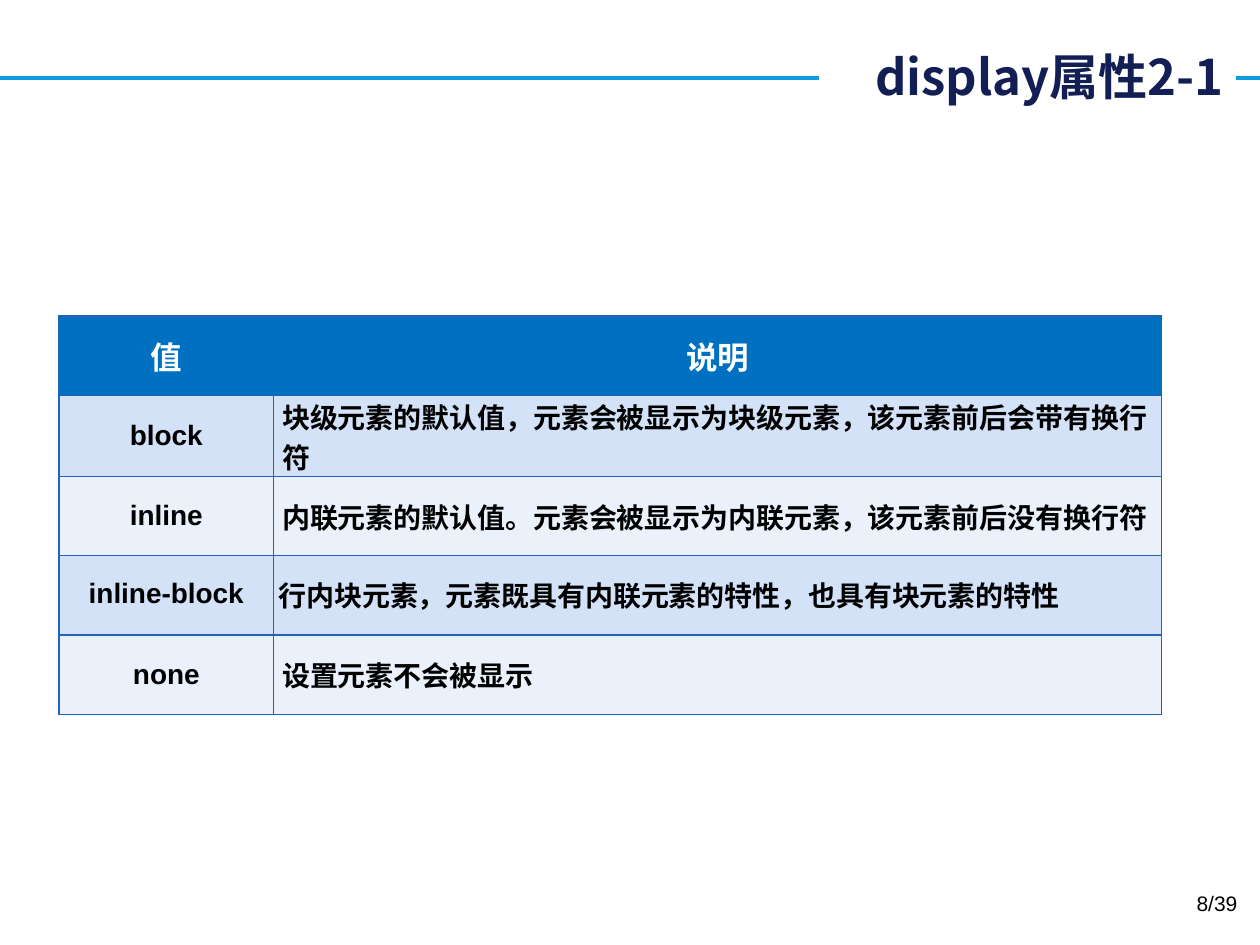
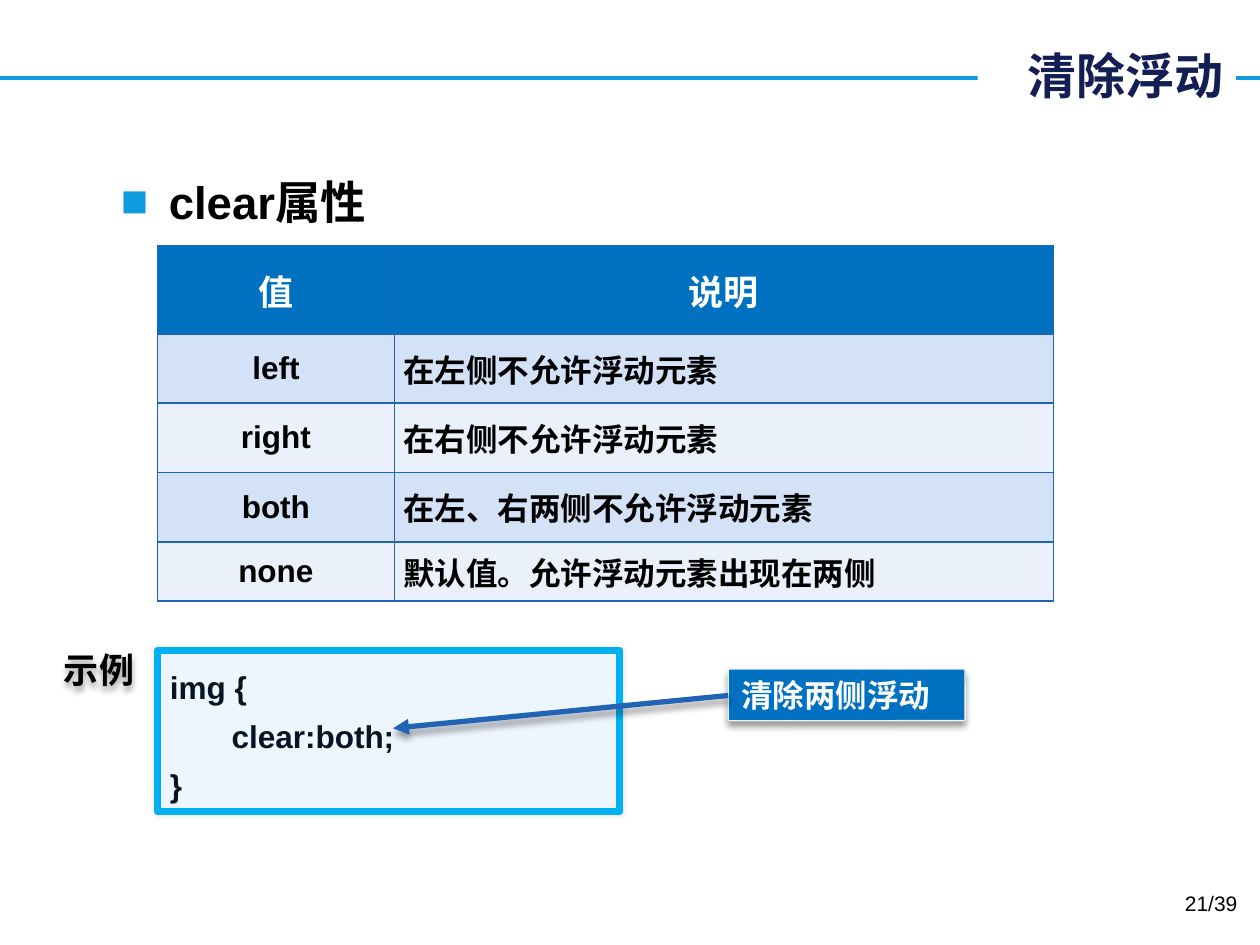
from dataclasses import dataclass
from typing import Any

import lxml.etree
import pptx
import pptx.dml.color
import pptx.enum.shapes
import pptx.enum.text
import pptx.oxml.ns
import pptx.util

Inches = pptx.util.Inches
Pt = pptx.util.Pt
RGBColor = pptx.dml.color.RGBColor
Align = pptx.enum.text.PP_ALIGN
Anchor = pptx.enum.text.MSO_ANCHOR
Shape = pptx.enum.shapes.MSO_SHAPE
Wire = pptx.enum.shapes.MSO_CONNECTOR

BLACK = RGBColor(0x00, 0x00, 0x00)
WHITE = RGBColor(0xFF, 0xFF, 0xFF)
PALE = RGBColor(0xF2, 0xF2, 0xF2)
NAVY = RGBColor(0x12, 0x1E, 0x54)
INK = RGBColor(0x07, 0x14, 0x24)
SKY = RGBColor(0x0E, 0x9C, 0xDE)
HEAD = RGBColor(0x00, 0x70, 0xC0)
EDGE = RGBColor(0x21, 0x63, 0xB4)
FRAME = RGBColor(0x00, 0xB0, 0xF0)
MIST = RGBColor(0xED, 0xF5, 0xFD)
BANDS = (RGBColor(0xD3, 0xE2, 0xF7), RGBColor(0xEA, 0xF1, 0xFB))

LATIN = "Arial"
HAN = "Noto Sans CJK SC"
PAGES = 39


@dataclass(frozen=True)
class Box:
    left: float
    top: float
    width: float
    height: float

    def place(self) -> tuple[int, ...]:
        return tuple(Inches(n) for n in (self.left, self.top, self.width, self.height))


@dataclass(frozen=True)
class Grid:
    box: Box
    cols: tuple[float, ...]
    rows: tuple[float, ...]
    size: int
    pairs: tuple[tuple[str, str], ...]
    tight: int = 0  # row with narrow margins; 0 means none


@dataclass(frozen=True)
class Panel:
    box: Box
    text: str
    fill: RGBColor
    line: RGBColor
    weight: float
    ink: RGBColor
    round: float
    anchor: Any
    shade: tuple[int, int, int, int]  # alpha %, blur, distance, angle
    space: float = 1.0


DISPLAY = Grid(
    Box(0.47, 2.51, 8.75, 3.05), (1.7, 7.05), (0.63, 0.55, 0.63, 0.63, 0.63), 16,
    (("值", "说明"),
     ("block", "块级元素的默认值，元素会被显示为块级元素，该元素前后会带有换行符"),
     ("inline", "内联元素的默认值。元素会被显示为内联元素，该元素前后没有换行符"),
     ("inline-block", "行内块元素，元素既具有内联元素的特性，也具有块元素的特性"),
     ("none", "设置元素不会被显示")),
    tight=3,
)
CLEAR = Grid(
    Box(1.25, 1.95, 7.11, 2.81), (1.88, 5.23), (0.7, 0.55, 0.55, 0.55, 0.47), 18,
    (("值", "说明"),
     ("left", "在左侧不允许浮动元素"),
     ("right", "在右侧不允许浮动元素"),
     ("both", "在左、右两侧不允许浮动元素"),
     ("none", "默认值。允许浮动元素出现在两侧")),
)
DROP = (40, 4, 3, 90)
CODE = Panel(Box(1.25, 5.16, 3.67, 1.28), "img {\n\tclear:both;\n}", MIST, FRAME, 4,
             INK, 0, Anchor.TOP, (10, 3, 0, 0), 1.3)
NOTE = Panel(Box(5.78, 5.31, 1.88, 0.41), "清除两侧浮动", HEAD, PALE, 0.75,
             WHITE, 0.03, Anchor.BOTTOM, DROP)


def node(host: Any, tag: str, **attrs: Any) -> Any:
    """Append a DrawingML child."""
    return lxml.etree.SubElement(host, pptx.oxml.ns.qn(tag),
                                 {key: str(val) for key, val in attrs.items()})


def tint(host: Any, color: RGBColor) -> Any:
    return node(node(host, "a:solidFill"), "a:srgbClr", val=color)


def write(frame: Any, text: str, *, size: float, color: RGBColor = BLACK,
          bold: bool = True, font: str = LATIN, align: Any = Align.LEFT,
          anchor: Any = Anchor.TOP, space: float = 1.0, wrap: bool = True) -> None:
    frame.word_wrap = wrap
    frame.auto_size = pptx.enum.text.MSO_AUTO_SIZE.NONE
    frame.vertical_anchor = anchor
    frame.clear()
    for i, line in enumerate(text.split("\n")):
        para = frame.add_paragraph() if i else frame.paragraphs[0]
        para.alignment, para.line_spacing = align, space
        run = para.add_run()
        run.text = line
        run.font.size, run.font.bold, run.font.name = Pt(size), bold, font
        run.font.color.rgb = color
        node(run.font._element, "a:ea", typeface=HAN)


def shade(shape: Any, alpha: int, blur: int, dist: int, angle: int) -> None:
    props = shape._element.spPr
    for old in props.findall(pptx.oxml.ns.qn("a:effectLst")):
        props.remove(old)
    cast = node(node(props, "a:effectLst"), "a:outerShdw", blurRad=Pt(blur),
                dist=Pt(dist), dir=angle * 60000, algn="t", rotWithShape=0)
    node(node(cast, "a:srgbClr", val=BLACK), "a:alpha", val=alpha * 1000)


def wire(slide: Any, start: tuple[float, float], end: tuple[float, float],
         color: RGBColor, weight: float) -> Any:
    line = slide.shapes.add_connector(Wire.STRAIGHT, *(Inches(n) for n in start + end))
    line.line.color.rgb, line.line.width = color, Pt(weight)
    return line


def start(deck: Any, kind: int, title: str, box: Box, page: int) -> Any:
    """Add a slide with the shared rule, title and page number."""
    slide = deck.slides.add_slide(deck.slide_layouts[kind])
    rule = wire(slide, (0, 0.62), (10, 0.62), SKY, 2.25)
    node(rule._element.spPr, "a:effectLst")
    slide.shapes._spTree.insert(2, rule._element)
    head = slide.shapes.title
    head.left, head.top, head.width, head.height = box.place()
    head.fill.solid()
    head.fill.fore_color.rgb = WHITE
    write(head.text_frame, title, size=28, color=NAVY, font=HAN,
          align=Align.RIGHT, anchor=Anchor.MIDDLE)
    foot = slide.shapes.add_textbox(*Box(7.59, 7.02, 2.33, 0.4).place())
    write(foot.text_frame, f"{page}/{PAGES}", size=12, bold=False, align=Align.RIGHT)
    return slide


def edge(cell: Any) -> None:
    props = cell._tc.get_or_add_tcPr()
    for side in "LRTB":
        tint(node(props, f"a:ln{side}", w=Pt(1)), EDGE)


def chart(slide: Any, grid: Grid) -> None:
    """Draw a value table with a header row and two band colours."""
    table = slide.shapes.add_table(len(grid.rows), len(grid.cols), *grid.box.place()).table
    for col, width in zip(table.columns, grid.cols):
        col.width = Inches(width)
    for r, (height, pair) in enumerate(zip(grid.rows, grid.pairs)):
        table.rows[r].height = Inches(height)
        top = r == 0
        tight = r > 0 and r == grid.tight
        for c, text in enumerate(pair):
            cell = table.cell(r, c)
            edge(cell)
            cell.fill.solid()
            cell.fill.fore_color.rgb = HEAD if top else BANDS[(r - 1) % 2]
            cell.margin_left = cell.margin_right = Inches(0.04 if tight else 0.07)
            cell.margin_top, cell.margin_bottom = 0, Inches(0.02 if tight else 0)
            write(cell.text_frame, text, size=grid.size + 2 * top,
                  color=WHITE if top else BLACK,
                  align=Align.CENTER if top or c == 0 else Align.LEFT)
            cell.vertical_anchor = Anchor.MIDDLE


def panel(slide: Any, item: Panel) -> Any:
    shape = slide.shapes.add_shape(Shape.ROUNDED_RECTANGLE, *item.box.place())
    shape.adjustments[0] = item.round
    shape.fill.solid()
    shape.fill.fore_color.rgb = item.fill
    shape.line.color.rgb, shape.line.width = item.line, Pt(item.weight)
    shade(shape, *item.shade)
    write(shape.text_frame, item.text, size=18, color=item.ink,
          anchor=item.anchor, space=item.space)
    return shape


def bullet(para: Any) -> None:
    props = para._p.get_or_add_pPr()
    props.set("marL", str(Inches(0.38)))
    props.set("indent", str(-Inches(0.38)))
    node(node(props, "a:buClr"), "a:srgbClr", val=SKY)
    node(props, "a:buFont", typeface=LATIN)
    node(props, "a:buChar", char="■")


def main() -> None:
    deck = pptx.Presentation()
    deck.slide_width, deck.slide_height = Inches(10), Inches(7.5)

    first = start(deck, 5, "display属性2-1", Box(6.5, 0.08, 3.31, 1.04), 8)
    chart(first, DISPLAY)

    second = start(deck, 1, "清除浮动", Box(7.76, 0.31, 2.05, 0.57), 21)
    body = second.placeholders[1]
    body.left, body.top, body.width, body.height = Box(0.86, 1.33, 8.36, 5.63).place()
    write(body.text_frame, "clear属性", size=26)
    bullet(body.text_frame.paragraphs[0])
    chart(second, CLEAR)

    code = panel(second, CODE)
    for para in code.text_frame.paragraphs:
        node(node(para._p.get_or_add_pPr(), "a:tabLst"), "a:tab",
             pos=Inches(0.49), algn="l")
    label = second.shapes.add_textbox(*Box(0.41, 5.09, 0.77, 0.44).place())
    write(label.text_frame, "示例", size=20, font=HAN, anchor=Anchor.MIDDLE, wrap=False)
    label.fill.background()
    shade(label, *DROP)
    panel(second, NOTE)
    arrow = wire(second, (5.78, 5.52), (3.12, 5.78), EDGE, 3)
    node(arrow.line._get_or_add_ln(), "a:tailEnd", type="triangle")
    shade(arrow, *DROP)

    deck.save("out.pptx")


if __name__ == "__main__":
    main()
